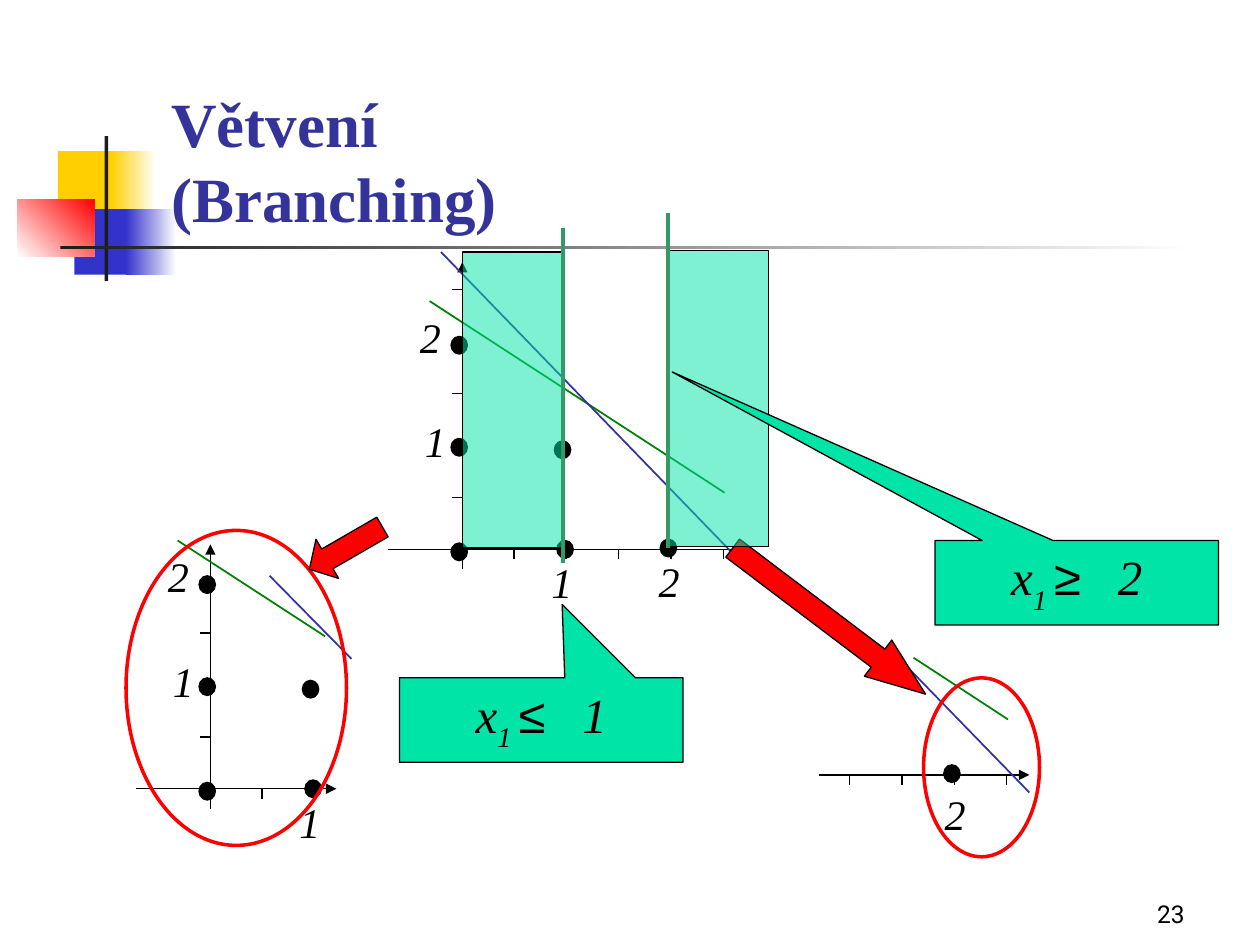
"""Build the branching slide: one plot split into two subproblems."""
from lxml import etree
from pptx import Presentation
from pptx.dml.color import RGBColor
from pptx.enum.shapes import MSO_CONNECTOR, MSO_SHAPE
from pptx.enum.text import MSO_ANCHOR, PP_ALIGN
from pptx.oxml.ns import qn
from pptx.util import Inches, Pt

RECT, OVAL = MSO_SHAPE.RECTANGLE, MSO_SHAPE.OVAL
ARROW, CALL = MSO_SHAPE.RIGHT_ARROW, MSO_SHAPE.RECTANGULAR_CALLOUT
LINE = MSO_CONNECTOR.STRAIGHT
LEFT, MID, RIGHT = PP_ALIGN.LEFT, PP_ALIGN.CENTER, PP_ALIGN.RIGHT
TOP, BASE = MSO_ANCHOR.TOP, MSO_ANCHOR.BOTTOM
BLACK, WHITE, DARK, RED = "000000", "FFFFFF", "1C1C1C", "FF0000"
YELLOW, BLUE, NAVY = "FFCF01", "3333CC", "333399"
GREEN, SEA, MINT = "008000", "339966", "00E4A8"
SERIF, SANS, PAGE = "Times New Roman", "Arial", "Roboto"

DECOR = [
    ((0.46, 1.2, 0.48, 0.52), (YELLOW,), 0),
    ((0.88, 1.2, 0.36, 0.52), (YELLOW, WHITE), 0),
    ((0.59, 1.66, 0.46, 0.52), (BLUE,), 0),
    ((1, 1.66, 0.4, 0.52), (BLUE, WHITE), 0),
    ((0.14, 1.58, 0.61, 0.46), (WHITE, RED), 45),
    ((0.83, 1.08, 0.03, 1.15), (DARK,), 0),
    ((0.48, 1.95, 9, 0.03), (DARK, WHITE), 0),
]

ONE_X, TWO_X = ("1", 3.96, 4.37, 1), ("2", 4.81, 4.36, 1)
ONE_Y, TWO_Y = ("1", 3.08, 3.25, 0.75), ("2", 3.08, 2.42, 0.67)
DOTS = [(3.58, 4.31), (4.4, 3.5), (3.58, 3.48), (4.42, 4.29), (3.58, 2.67)]
LAST = (5.24, 4.28)
TICK_X = [4.08 + 0.415 * i for i in range(5)]
TICK_Y = [2.3 + 0.4125 * i for i in range(5)]
BASE_Y, BASE_X, TICK = 4.36, 3.67, 0.08
SIZE_X, SIZE_Y = 0.13, 0.14

MAIN = dict(
    shift=(0, 0),
    axes=[(3.67, 4.52, 3.67, 2.08), (3.08, 4.36, 5.92, 4.36)],
    cols=TICK_X, rows=TICK_Y,
    names=[ONE_X, TWO_X, ONE_Y, TWO_Y], dots=DOTS + [LAST],
    cuts=[(3.41, 2.39, 5.75, 3.91), (3.5, 2, 5.92, 4.5)])
LOW = dict(
    shift=(-2, 1.9),
    axes=[(3.67, 4.52, 3.67, 2.42), (3.08, 4.36, 4.67, 4.36)],
    cols=TICK_X[:2], rows=TICK_Y[1:],
    names=[ONE_X, ONE_Y, TWO_Y], dots=DOTS,
    cuts=[(3.41, 2.39, 4.58, 3.15), (4.14, 2.67, 4.79, 3.33)])
HIGH = dict(
    shift=(2.25, 1.79),
    axes=[(4.25, 4.36, 5.92, 4.36)],
    cols=TICK_X[1:], rows=[],
    names=[("2", 4.83, 4.42, 1)], dots=[LAST],
    cuts=[(5, 3.43, 5.75, 3.92), (4.87, 3.42, 5.92, 4.5)])

PARTS = [
    (MAIN, None, None),
    (LOW, (1, 4.21, 1.75, 2.5), ((2.41, 4.17, 0.67, 0.36), 150, 0.457)),
    (HIGH, (7.33, 5.38, 0.92, 1.42), ((5.62, 4.75, 1.92, 0.36), 37.1, 1.314)),
]
BANDS = [
    ((3.67, 2, 0.79, 2.35), (3.17, 5.38, 2.25, 0.67), (0.074, -1.37),
     "≤", "1", (4.47, 1.81, 4.47, 4.47)),
    ((5.31, 1.99, 0.79, 2.35), (7.42, 4.29, 2.25, 0.67), (-1.427, -2.497),
     "≥", "2", (5.3, 1.69, 5.3, 4.35)),
]


def tint(code):
    return RGBColor.from_string(code)


def write(para, text, size=24, font=SERIF, color=BLACK, bold=False,
          slant=False, align=MID, **extra):
    para.alignment = align
    for i, part in enumerate(text.split("\n")):
        if i:
            para.add_line_break()
        run = para.add_run()
        run.text = part
        run.font.size, run.font.name = Pt(size), font
        run.font.bold, run.font.italic = bold, slant
        run.font.color.rgb = tint(color)
        for key, val in extra.items():
            run.font._element.set(key, str(val))


def label(slide, box, text, anchor=TOP, gap=0, **form):
    frame = slide.shapes.add_textbox(*map(Inches, box)).text_frame
    frame.word_wrap, frame.vertical_anchor = True, anchor
    frame.paragraphs[0].space_before = Pt(gap)
    write(frame.paragraphs[0], text, **form)


def shape(slide, kind, box, fill=(), line=None, width=0.75, angle=0,
          turn=0, adjust=(), alpha=None):
    item = slide.shapes.add_shape(kind, *map(Inches, box))
    item.shadow.inherit = False
    item.rotation = turn
    for i, val in enumerate(adjust):
        item.adjustments[i] = val
    if len(fill) == 2:
        item.fill.gradient()
        item.fill.gradient_angle = angle
        for stop, code in zip(item.fill.gradient_stops, fill):
            stop.color.rgb = tint(code)
    elif fill:
        item.fill.solid()
        item.fill.fore_color.rgb = tint(fill[0])
    else:
        item.fill.background()
    if alpha:
        node = item._element.spPr.find(qn("a:solidFill"))[0]
        etree.SubElement(node, qn("a:alpha")).set("val", str(alpha * 1000))
    if line:
        item.line.color.rgb = tint(line)
        item.line.width = Pt(width)
    else:
        item.line.fill.background()
    return item


def rule(slide, ends, color=BLACK, width=0.75, tip=False):
    item = slide.shapes.add_connector(LINE, *map(Inches, ends))
    item.line.color.rgb = tint(color)
    item.line.width = Pt(width)
    if tip:
        node = item.line._get_or_add_ln()
        etree.SubElement(node, qn("a:tailEnd")).set("type", "triangle")
    etree.SubElement(item._element.spPr, qn("a:effectLst"))


def plot(slide, shift, axes, cols, rows, names, dots, cuts):
    dx, dy = shift

    def move(ends):
        return [val + shift[i % 2] for i, val in enumerate(ends)]

    for ends in axes:
        rule(slide, move(ends), tip=True)
    for x in cols:
        rule(slide, move((x, BASE_Y, x, BASE_Y + TICK)))
    for y in rows:
        rule(slide, move((BASE_X - TICK, y, BASE_X, y)))
    for text, x, y, wide in names:
        label(slide, (x + dx, y + dy, wide, 0.5), text, gap=15, slant=True)
    for x, y in dots:
        shape(slide, OVAL, (x + dx, y + dy, SIZE_X, SIZE_Y), (BLACK,), BLACK)
    for ends, color in zip(cuts, (GREEN, NAVY)):
        rule(slide, move(ends), color, 1)


def main():
    deck = Presentation()
    deck.slide_width, deck.slide_height = Inches(10), Inches(7.5)
    slide = deck.slides.add_slide(deck.slide_layouts[5])
    for box, fill, angle in DECOR:
        shape(slide, RECT, box, fill, angle=angle)
    label(slide, (7.42, 6.92, 2.08, 0.5), "23", BASE, size=14, font=PAGE,
          align=RIGHT)

    title = slide.shapes.title
    title.left, title.top = Inches(1.26), Inches(0.67)
    title.width, title.height = Inches(8.52), Inches(1.25)
    title.text_frame.vertical_anchor = BASE
    write(title.text_frame.paragraphs[0], "Větvení\n(Branching)", size=36,
          color=NAVY, bold=True, align=LEFT)
    slide.shapes._spTree.append(title._element)

    for data, ring, arrow in PARTS:
        plot(slide, **data)
        if ring:
            box, turn, head = arrow
            shape(slide, OVAL, ring, line=RED, width=2)
            shape(slide, ARROW, box, (RED,), BLACK, turn=turn,
                  adjust=(0.5, head))

    for area, box, point, sign, bound, ends in BANDS:
        shape(slide, RECT, area, (MINT,), BLACK, alpha=50)
        note = shape(slide, CALL, box, (MINT,), BLACK, adjust=point)
        note.text_frame.vertical_anchor = TOP
        para = note.text_frame.paragraphs[0]
        write(para, "x", size=28, slant=True)
        write(para, "1 ", size=28, slant=True, baseline=-30000)
        write(para, sign, size=28, font=SANS, slant=True)
        write(para, " ", size=28, slant=True, spc=1400)
        write(para, bound, size=28, slant=True)
        rule(slide, ends, SEA, 2.5)
    deck.save("out.pptx")


if __name__ == "__main__":
    main()
